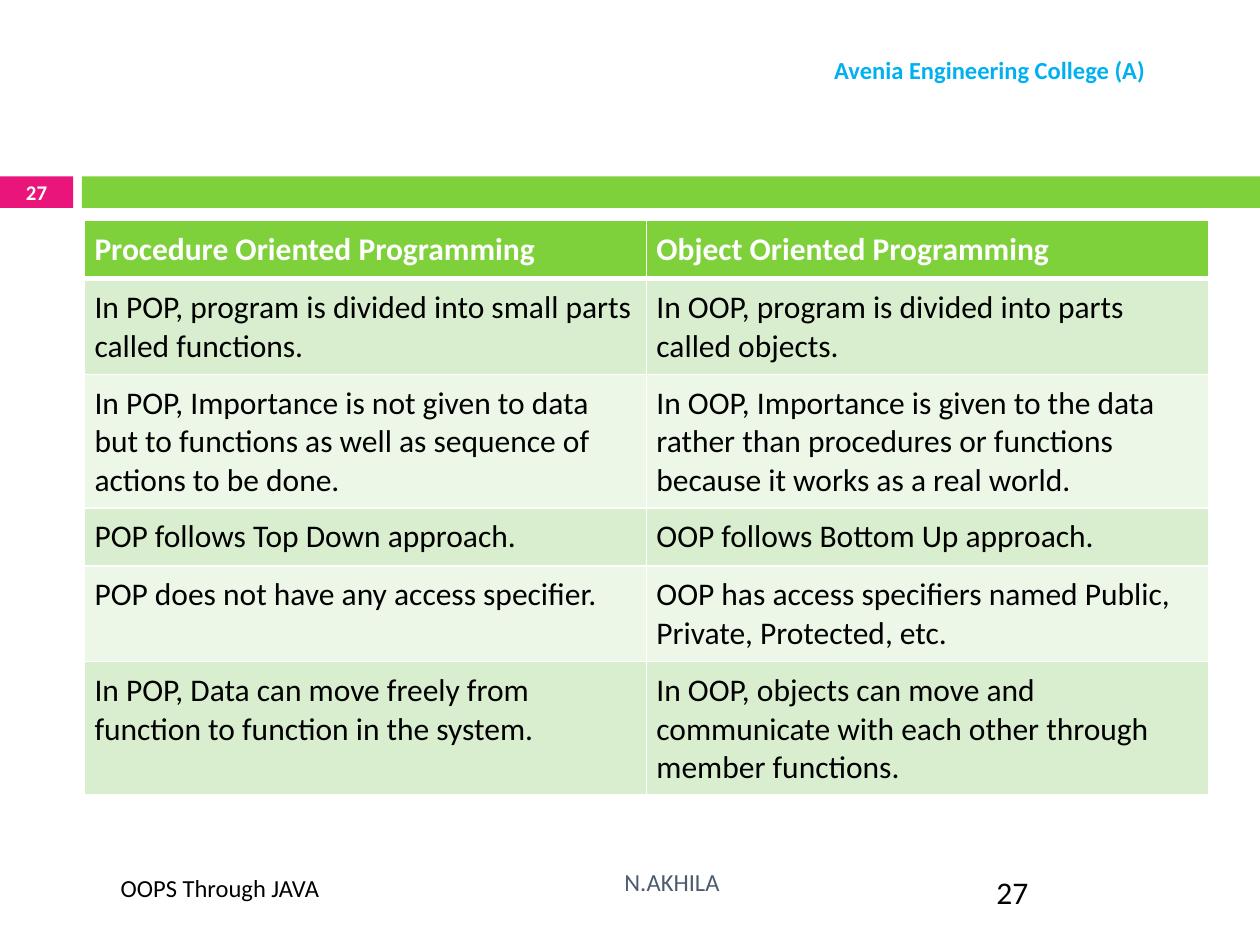
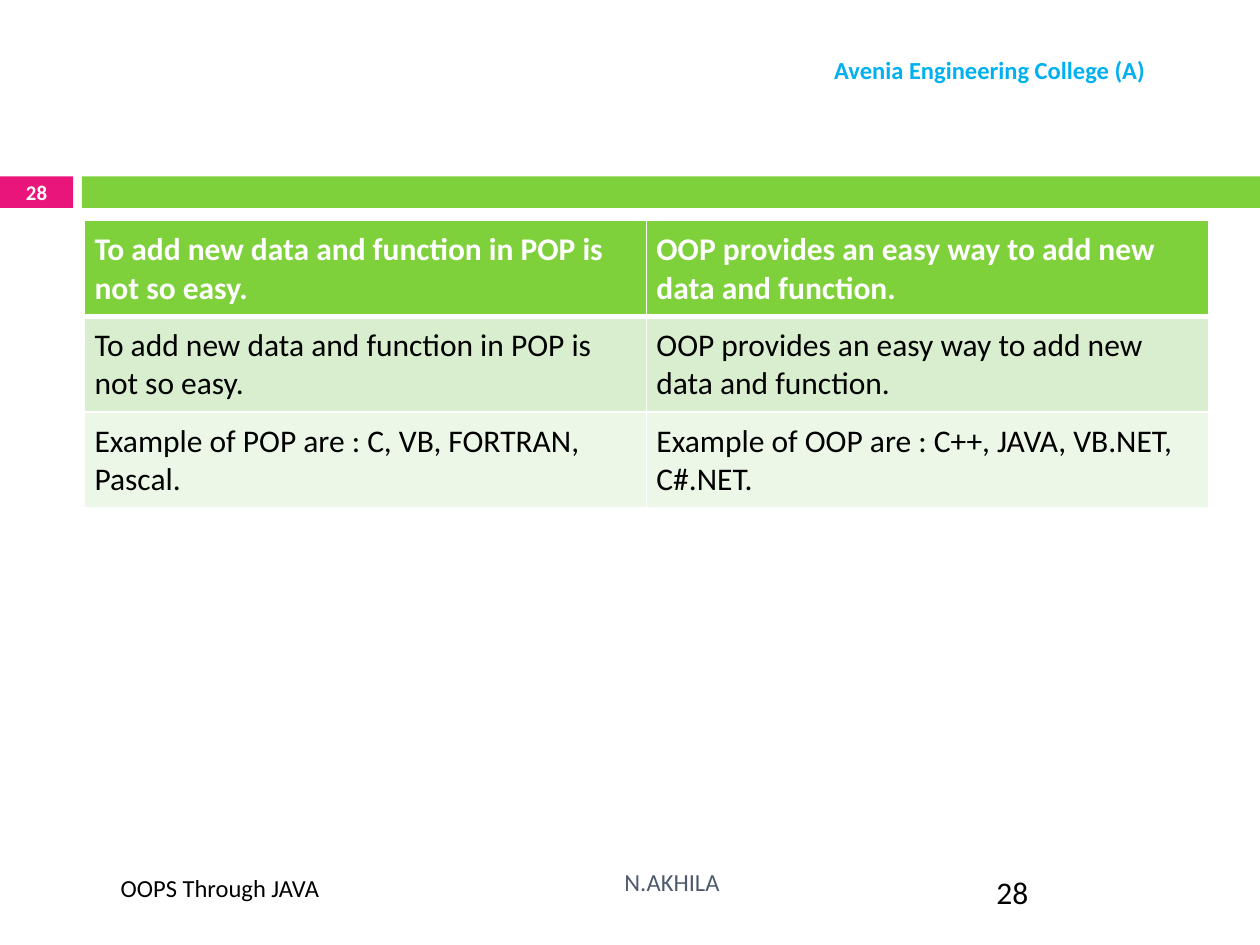
"""Build two slides that compare procedure oriented and object oriented programming."""
from dataclasses import dataclass

from lxml import etree
from pptx import Presentation
from pptx import util as u
from pptx.dml.color import RGBColor
from pptx.enum import shapes, text
from pptx.oxml.ns import qn

COURSE = "OOPS Through JAVA"
COLLEGE = "Avenia Engineering College (A)"
AUTHOR = "N.AKHILA"

# Each row: lines of text it takes, procedure oriented side, object oriented side
COMPARISONS = {
    27: [
        (1, "Procedure Oriented Programming", "Object Oriented Programming"),
        (2, "In POP, program is divided into small parts called functions.",
         "In OOP, program is divided into parts called objects."),
        (3, "In POP, Importance is not given to data but to functions as well as "
            "sequence of actions to be done.",
         "In OOP, Importance is given to the data rather than procedures or functions "
         "because it works as a real world."),
        (1, "POP follows Top Down approach.", "OOP follows Bottom Up approach."),
        (2, "POP does not have any access specifier.",
         "OOP has access specifiers named Public, Private, Protected, etc."),
        (3, "In POP, Data can move freely from function to function in the system.",
         "In OOP, objects can move and communicate with each other through "
         "member functions."),
    ],
    28: [
        (2, "To add new data and function in POP is not so easy.",
         "OOP provides an easy way to add new data and function."),
        (2, "To add new data and function in POP is not so easy.",
         "OOP provides an easy way to add new data and function."),
        (2, "Example of POP are : C, VB, FORTRAN, Pascal.",
         "Example of OOP are : C++, JAVA, VB.NET, C#.NET."),
    ],
}


@dataclass(frozen=True)
class Theme:
    """Colours, type sizes and table measures shared by the slides."""
    font: str = "Calibri"
    green: str = "7FD13B"
    pink: str = "EA157A"
    sky: str = "00B0F0"
    slate: str = "4E5B6F"
    black: str = "000000"
    white: str = "FFFFFF"
    stripes: tuple = ("ECF7E8", "D8EECE")
    body: float = 18
    label: float = 14
    badge: float = 11.9
    cell_margin: float = 0.08
    line_height: float = 0.3
    thin: float = 1
    thick: float = 3


THEME = Theme()
WIDTH, HEIGHT = 10, 7.5
BAND_TOP, BAND_HEIGHT = 1.4, 0.25
BADGE_WIDTH, BAND_LEFT = 0.58, 0.65
TABLE_LEFT, TABLE_TOP, COLUMN_WIDTH = 0.67, 1.75, 4.46
FOOTER_TOP = 6.88


def inches(*lengths):
    return [u.Inches(length) for length in lengths]


def write(frame, words, size, color, bold=False, align=text.PP_ALIGN.LEFT):
    paragraph = frame.paragraphs[0]
    paragraph.alignment = align
    run = paragraph.add_run()
    run.text = words
    run.font.name = THEME.font
    run.font.size = u.Pt(size)
    run.font.bold = bold
    run.font.color.rgb = RGBColor.from_string(color)


def add_label(slide, place, words, size, color, anchor=text.MSO_ANCHOR.TOP, **style):
    frame = slide.shapes.add_textbox(*inches(*place)).text_frame
    frame.word_wrap = True
    frame.vertical_anchor = anchor
    write(frame, words, size, color, **style)


def add_band(slide, left, width, color):
    band = slide.shapes.add_shape(shapes.MSO_SHAPE.RECTANGLE,
                                  *inches(left, BAND_TOP, width, BAND_HEIGHT))
    band.shadow.inherit = False
    band.fill.solid()
    band.fill.fore_color.rgb = RGBColor.from_string(color)
    band.line.fill.background()


def set_borders(cell, top, bottom):
    properties = cell._tc.get_or_add_tcPr()
    widths = {"a:lnL": THEME.thin, "a:lnR": THEME.thin, "a:lnT": top, "a:lnB": bottom}
    for position, (side, width) in enumerate(widths.items()):
        line = etree.Element(qn(side), w=str(u.Pt(width)))
        fill = etree.SubElement(line, qn("a:solidFill"))
        etree.SubElement(fill, qn("a:srgbClr"), val=THEME.white)
        properties.insert(position, line)


def add_comparison(slide, rows):
    heights = [2 * THEME.cell_margin + lines * THEME.line_height for lines, *_ in rows]
    table = slide.shapes.add_table(
        len(rows), 2,
        *inches(TABLE_LEFT, TABLE_TOP, 2 * COLUMN_WIDTH, sum(heights))).table
    for column in table.columns:
        column.width = u.Inches(COLUMN_WIDTH)
    for r, (_, *sides) in enumerate(rows):
        header = r == 0
        table.rows[r].height = u.Inches(heights[r])
        for c, words in enumerate(sides):
            cell = table.cell(r, c)
            cell.margin_left = cell.margin_right = u.Inches(THEME.cell_margin)
            cell.margin_top = cell.margin_bottom = u.Inches(THEME.cell_margin)
            cell.fill.solid()
            cell.fill.fore_color.rgb = RGBColor.from_string(
                THEME.green if header else THEME.stripes[r % 2])
            set_borders(cell, THEME.thick if r == 1 else THEME.thin,
                        THEME.thick if header else THEME.thin)
            write(cell.text_frame, words, THEME.body,
                  THEME.white if header else THEME.black, bold=header)


def add_furniture(slide, number):
    middle, center = text.MSO_ANCHOR.MIDDLE, text.PP_ALIGN.CENTER
    add_band(slide, 0, BADGE_WIDTH, THEME.pink)
    add_band(slide, BAND_LEFT, WIDTH - BAND_LEFT, THEME.green)
    add_label(slide, (0.86, FOOTER_TOP, 2.66, 0.34), COURSE, THEME.label, THEME.black)
    add_label(slide, (5.94, 0.39, 3.83, 0.34), COLLEGE, THEME.label, THEME.sky,
              bold=True, align=center)
    add_label(slide, (7.81, FOOTER_TOP, 0.78, 0.4), str(number), THEME.body, THEME.black)
    add_label(slide, (4.06, 6.8, 1.75, 0.4), AUTHOR, THEME.label, THEME.slate,
              anchor=middle, align=text.PP_ALIGN.RIGHT)
    add_label(slide, (0, BAND_TOP - 0.01, BADGE_WIDTH, BAND_HEIGHT + 0.02), str(number),
              THEME.badge, THEME.white, anchor=middle, bold=True, align=center)


def main():
    deck = Presentation()
    deck.slide_width, deck.slide_height = inches(WIDTH, HEIGHT)
    for number, rows in COMPARISONS.items():
        slide = deck.slides.add_slide(deck.slide_layouts[6])
        add_furniture(slide, number)
        add_comparison(slide, rows)
    deck.save("out.pptx")


if __name__ == "__main__":
    main()
